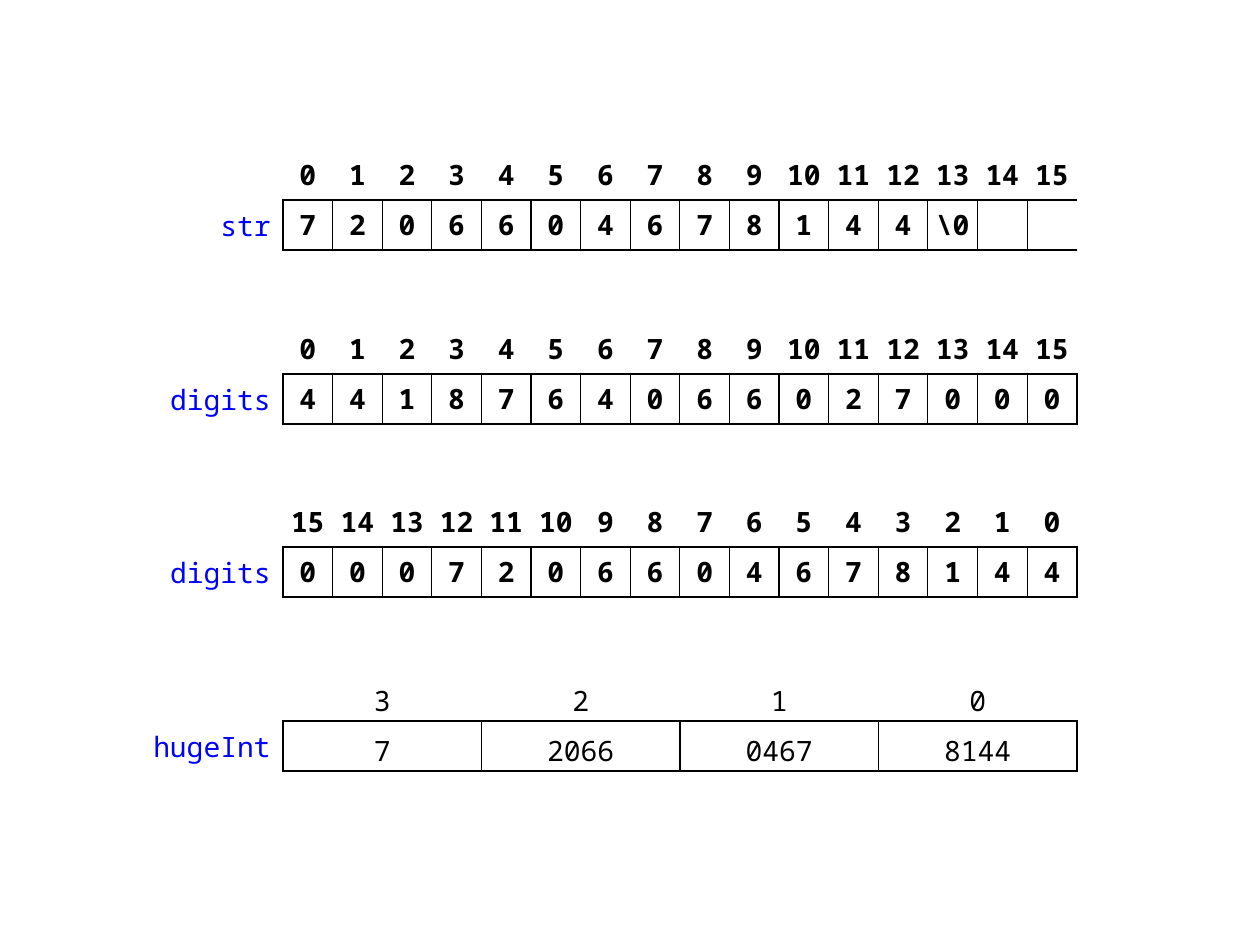
"""Build a slide showing how a digit string is packed into a huge integer."""
from lxml.etree import SubElement
from pptx import Presentation
from pptx.dml.color import RGBColor
from pptx.enum.text import MSO_ANCHOR, PP_ALIGN
from pptx.oxml.ns import qn
from pptx.util import Emu, Pt

PX = 914400 / 126
BLACK, BLUE = "000000", "0000FF"
NO_STYLE = "{2D5ABB26-0587-4C30-8999-92F81FD0307C}"
LEFT, WIDTH, ROW_HEIGHT = 283, 794, 50


def px(*lengths):
    return [Emu(round(length * PX)) for length in lengths]


def write(frame, text, color=BLACK, align=PP_ALIGN.CENTER, bold=False, spacing=None):
    paragraph = frame.paragraphs[0]
    paragraph.alignment = align
    paragraph.line_spacing = spacing
    run = paragraph.add_run()
    run.text = text
    run.font.name = "Noto Sans Mono"
    run.font.size = Pt(16)
    run.font.bold = bold
    run.font.color.rgb = RGBColor.from_string(color)


ascending = [str(i) for i in range(16)]
arrays = [
    ("str", 150, 99, ascending, [*"7206604678144", "\\0", "", ""]),
    ("digits", 134, 149, ascending, "4418764066027000"),
    ("digits", 134, 149, ascending[::-1], "0007206604678144"),
    ("hugeInt", 134, 149, "3210", ["7", "2066", "0467", "8144"]),
]
tops = [150, 324, 497, 671]

deck = Presentation()
deck.slide_width, deck.slide_height = px(1260, 945)
slide = deck.slides.add_slide(deck.slide_layouts[6])

for (name, _, label_width, indexes, values), top in zip(arrays, tops):
    label = slide.shapes.add_textbox(
        *px(LEFT - label_width, top + ROW_HEIGHT, label_width, ROW_HEIGHT)
    ).text_frame
    label.word_wrap = True
    label.vertical_anchor = MSO_ANCHOR.MIDDLE
    write(label, name, color=BLUE, align=PP_ALIGN.RIGHT)

    count = len(values)
    packed = name == "hugeInt"
    table = slide.shapes.add_table(
        2, count, *px(LEFT, top, WIDTH, 2 * ROW_HEIGHT)
    ).table
    table.first_row = table.horz_banding = False
    table._tbl.tblPr.find(qn("a:tableStyleId")).text = NO_STYLE

    for row, texts in enumerate([indexes, values]):
        for column, text in enumerate(texts):
            cell = table.cell(row, column)
            cell.vertical_anchor = MSO_ANCHOR.MIDDLE
            cell.margin_left = cell.margin_right = 0
            cell.margin_top = cell.margin_bottom = 0
            if text:
                write(cell.text_frame, text, bold=not packed,
                      spacing=1.25 if packed else None)

            borders = {"B": 1.5}
            if row == 1:
                last = column == count - 1
                borders = {"L": 0.75 if column else 1.5,
                           "R": 1.5 if last else 0.75, "T": 1.5, "B": 1.5}
                if last and name == "str":
                    del borders["R"]
            for side, points in borders.items():
                line = SubElement(cell._tc.get_or_add_tcPr(), qn(f"a:ln{side}"),
                                  w=str(Pt(points)))
                fill = SubElement(line, qn("a:solidFill"))
                SubElement(fill, qn("a:srgbClr"), val=BLACK)
            cell.fill.background()

deck.save("out.pptx")
